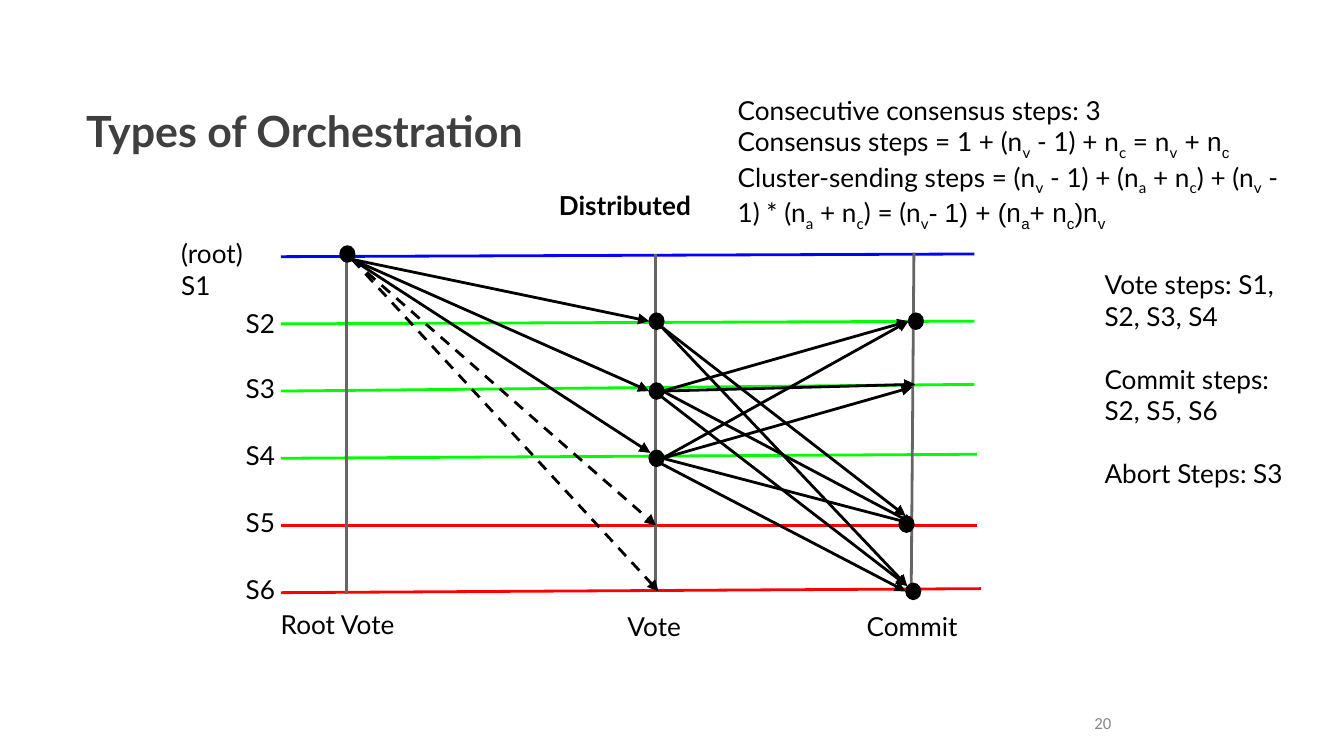
from pptx import Presentation
from pptx.dml.color import RGBColor
from pptx.enum import dml, shapes, text
from pptx.oxml.ns import qn
from pptx.util import Inches, Pt
from lxml import etree

# Content: an underscore makes the next letter a subscript
TITLE = "Types of Orchestration"
FORMULAS = [
    [("Consecutive consensus steps: 3", "Lato")],
    [("Consensus steps = 1 + (n_v - 1) + n_c = n_v", "Lato"), (" + n_c", "Arial")],
    [("Cluster-sending steps = (n_v - 1) + (n_a + n_c) + (n_v - 1) * (n_a + n_c) = (n_v", "Lato"),
     ("- 1) + (n_a+ n_c)n_v", "Arial")],
]
STEPS = ["Vote steps: S1, S2, S3, S4", "Commit steps: S2, S5, S6", "Abort Steps: S3"]

# Servers: label, label top, right end of the line (x, y), colour
SERVERS = [
    ("S1", 1.67, 7.25, 1.89, "0000FF"),
    ("S2", 2.19, 7.25, 2.39, "00FF00"),
    ("S3", 2.67, 7.25, 2.86, "00FF00"),
    ("S4", 3.17, 7.27, 3.38, "00FF00"),
    ("S5", 3.67, 7.27, 3.91, "FF0000"),
    ("S6", 4.17, 7.3, 4.38, "FF0000"),
]
LINE_LEFT, FIRST_Y, ROW_GAP = 2.09, 1.91, 0.5

# Phases: label, label box (left, top, width), axis from and to
PHASES = [
    ("Root Vote", (1.99, 4.43, 1.18), (2.58, 1.91), (2.58, 4.42)),
    ("Vote", (4.57, 4.44, 0.61), (4.88, 1.89), (4.88, 4.38)),
    ("Commit", (6.35, 4.44, 0.92), (6.8, 1.88), (6.78, 4.39)),
]

# Messages: start point -> end points
ROOT = (2.62, 1.93)
MESSAGES = {
    ROOT: [(4.83, 2.39), (4.83, 2.91), (4.84, 3.37)],
    (4.92, 2.43): [(6.75, 4.36), (6.74, 3.84)],
    (4.93, 2.91): [(6.8, 3.9), (6.76, 2.39), (6.81, 2.86)],
    (4.92, 2.95): [(6.75, 4.36)],
    (4.93, 3.41): [(6.8, 3.9), (6.76, 2.39), (6.79, 2.88)],
    (4.92, 3.45): [(6.74, 4.4)],
}
ABORTS = [(4.88, 3.91), (4.9, 4.4)]
DOTS = [(2.53, 1.83), (4.83, 2.33), (4.83, 2.85), (4.83, 3.35),
        (6.76, 2.33), (6.69, 3.84), (6.74, 4.34)]
DOT_W, DOT_H = 0.11, 0.12


def rgb(color):
    return RGBColor.from_string(color)


def add_run(p, txt, size=14, font="Lato", color="000000", bold=False, sub=False):
    r = p.add_run()
    r.text = txt
    r.font.size, r.font.name, r.font.bold = Pt(size), font, bold
    r.font.color.rgb = rgb(color)
    if sub:
        r.font._element.set("baseline", "-25000")


def add_text(left, top, width, height, paragraphs, inset=0.1, gap=0,
             align=text.PP_ALIGN.LEFT, anchor=text.MSO_ANCHOR.TOP, **fmt):
    """Each paragraph is a string or a list of (text, font) pieces."""
    tf = s.shapes.add_textbox(*map(Inches, (left, top, width, height))).text_frame
    tf.word_wrap = True
    tf.vertical_anchor = anchor
    tf.margin_left = tf.margin_right = tf.margin_top = tf.margin_bottom = Inches(inset)
    for i, pieces in enumerate(paragraphs):
        p = tf.add_paragraph() if i else tf.paragraphs[0]
        p.alignment = align
        p.space_before = Pt(gap if i else 0)
        if isinstance(pieces, str):
            pieces = [(pieces, "Lato")]
        for txt, font in pieces:
            first, *rest = txt.split("_")
            add_run(p, first, font=font, **fmt)
            for part in rest:
                add_run(p, part[0], font=font, sub=True, **fmt)
                if part[1:]:
                    add_run(p, part[1:], font=font, **fmt)


def add_line(start, end, color="000000", arrow=False, dashed=False):
    c = s.shapes.add_connector(shapes.MSO_CONNECTOR.STRAIGHT, *map(Inches, start + end))
    c.line.color.rgb = rgb(color)
    c.line.width = Pt(1.5)
    if dashed:
        c.line.dash_style = dml.MSO_LINE.DASH
    if arrow:
        etree.SubElement(c.line._get_or_add_ln(), qn("a:tailEnd"), type="triangle")
    etree.SubElement(c._element.spPr, qn("a:effectLst"))


# Slide in 16:9 format
prs = Presentation()
prs.slide_width = Inches(10)
prs.slide_height = prs.slide_width * 9 // 16
s = prs.slides.add_slide(prs.slide_layouts[5])

# Title
title = s.shapes.title
title.left, title.top, title.width, title.height = map(Inches, (0.57, 0.79, 8.88, 0.42))
tf = title.text_frame
tf.auto_size = text.MSO_AUTO_SIZE.NONE
tf.vertical_anchor = text.MSO_ANCHOR.BOTTOM
tf.margin_left = tf.margin_right = Inches(0.07)
tf.margin_top = tf.margin_bottom = Inches(0.04)
p = tf.paragraphs[0]
p.alignment, p.line_spacing = text.PP_ALIGN.LEFT, 0.9
add_run(p, TITLE, size=23, color="3F3F3F", bold=True)

# Server lines and labels
for i, (label, top, x, y, color) in enumerate(SERVERS):
    add_line((LINE_LEFT, FIRST_Y + i * ROW_GAP), (x, y), color)
    if i == 0:
        add_text(1.25, top, 0.92, 0.44, ["(root) " + label])
    else:
        add_text(1.73, top, 0.45, 0.44, [label])

# Phase axes and labels
for label, (left, top, width), start, end in PHASES:
    add_line(start, end, "666666")
    add_text(left, top, width, 0.44, [label])

# Messages, then the points they leave and reach
for start, ends in MESSAGES.items():
    for end in ends:
        add_line(start, end, arrow=True)
for end in ABORTS:
    add_line(ROOT, end, arrow=True, dashed=True)
for left, top in DOTS:
    dot = s.shapes.add_shape(shapes.MSO_SHAPE.OVAL, *map(Inches, (left, top, DOT_W, DOT_H)))
    dot.shadow.inherit = False
    dot.fill.solid()
    dot.fill.fore_color.rgb = dot.line.color.rgb = rgb("000000")
    dot.line.width = Pt(0.75)

# Heading, formulas, steps and page number
add_text(4.06, 1.31, 1.28, 0.44, ["Distributed"], bold=True)
add_text(5.39, 0.6, 4.29, 1.14, FORMULAS)
add_text(8.12, 1.9, 1.6, 1.85, STEPS, gap=17)
add_text(7.06, 5.23, 1.28, 0.3, [[("20", "Calibri")]], inset=0.07, size=9, color="888888",
         align=text.PP_ALIGN.RIGHT, anchor=text.MSO_ANCHOR.MIDDLE)

prs.save("out.pptx")
